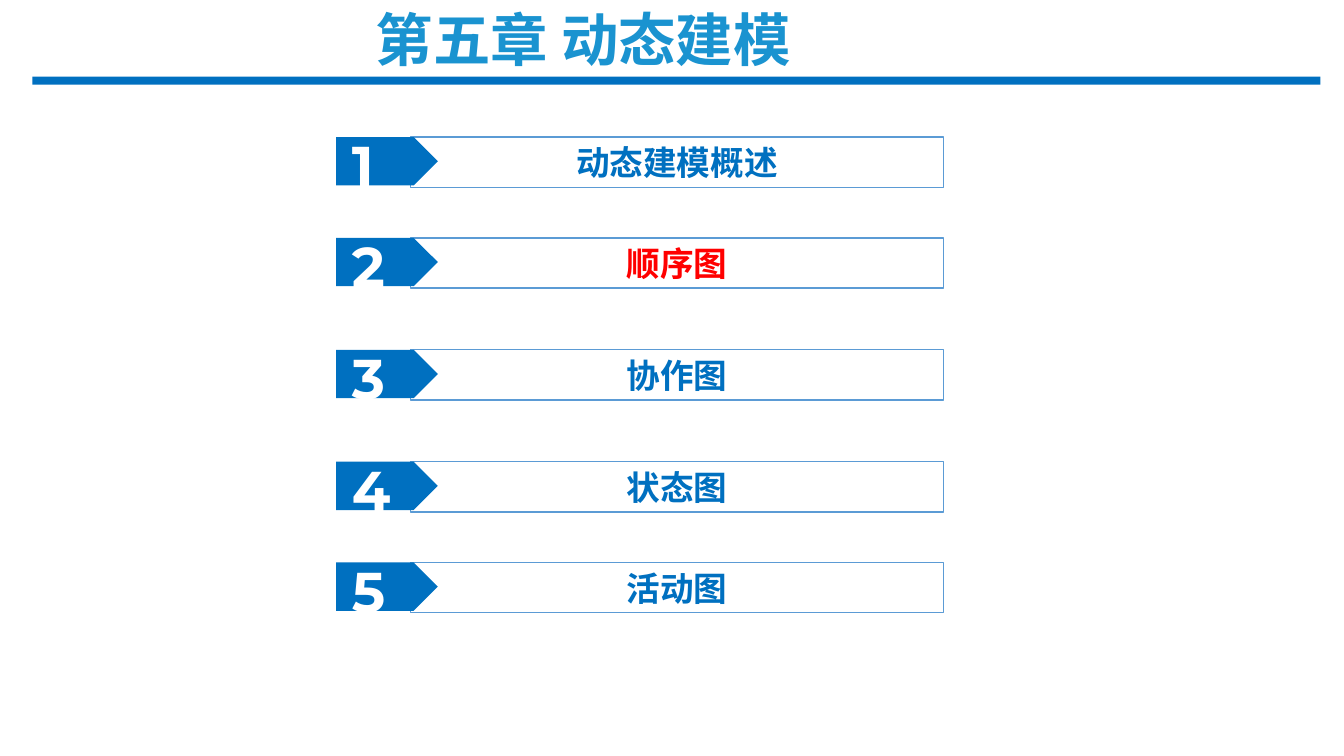
import dataclasses
import itertools

import lxml.etree
import pptx
import pptx.dml.color
import pptx.enum.shapes
import pptx.enum.text
import pptx.oxml.ns
import pptx.util

SHAPE = pptx.enum.shapes.MSO_SHAPE
ANCHOR = pptx.enum.text.MSO_ANCHOR
ALIGN = pptx.enum.text.PP_ALIGN
COLUMNS, ROWS = 40, 22.5
CELL = pptx.util.Inches(1) / 3


@dataclasses.dataclass(frozen=True)
class Theme:
    """Colours, fonts and type sizes of the deck."""
    blue: str = "0070C0"
    sky: str = "1A93D0"
    outline: str = "5B9BD5"
    red: str = "FF0000"
    white: str = "FFFFFF"
    chinese: str = "Noto Sans CJK SC"
    digits: str = "Montserrat"
    title_size: int = 41
    label_size: int = 24
    number_size: int = 40


THEME = Theme()
CHAPTER = "第五章 动态建模"
SECTIONS = ["动态建模概述", "顺序图", "协作图", "状态图", "活动图"]
CURRENT = "顺序图"
ROW_STEPS = [3, 3.33, 3.33, 3]


def rgb(value):
    """Turn a hex string into a colour."""
    return pptx.dml.color.RGBColor.from_string(value)


def cells(*box):
    """Convert grid cells to slide lengths."""
    return [pptx.util.Emu(round(length * CELL)) for length in box]


def write(frame, text, size, colour, font, align=ALIGN.LEFT, **frame_format):
    """Write one bold line into a text frame."""
    for name, value in frame_format.items():
        setattr(frame, name, value)
    line = frame.paragraphs[0]
    line.alignment = align
    run = line.add_run()
    run.text = text
    run.font.color.rgb = rgb(colour)
    for name, value in {"size": pptx.util.Pt(size), "bold": True, "name": font}.items():
        setattr(run.font, name, value)
    east_asian = lxml.etree.SubElement(run.font._element, pptx.oxml.ns.qn("a:ea"))
    east_asian.set("typeface", font)


def block(shapes, preset, box, fill, outline=None):
    """Draw a flat preset shape in the given box."""
    panel = shapes.add_shape(preset, *cells(*box))
    panel.shadow.inherit = False
    panel.fill.solid()
    panel.fill.fore_color.rgb = rgb(fill)
    if outline:
        panel.line.color.rgb = rgb(outline)
        panel.line.width = pptx.util.Pt(1)
    else:
        panel.line.fill.background()
    return panel


def heading(slide, box):
    """Place the chapter title with the rule beneath it."""
    left, top, width, height = box
    block(slide.shapes, SHAPE.RECTANGLE, (left, top + height - 0.24, width, 0.24), THEME.blue)
    title = slide.shapes.title
    place = cells(left + 9.99, top, 18.24, 2.31)
    for name, value in zip(("left", "top", "width", "height"), place):
        setattr(title, name, value)
    side, edge = pptx.util.Inches(0.08), pptx.util.Inches(0.04)
    write(title.text_frame, CHAPTER, THEME.title_size, THEME.sky, THEME.chinese,
          word_wrap=True, auto_size=pptx.enum.text.MSO_AUTO_SIZE.NONE,
          vertical_anchor=ANCHOR.MIDDLE, margin_left=side, margin_right=side,
          margin_top=edge, margin_bottom=edge)


def agenda_row(slide, box, number, section):
    """Place one section label with its numbered arrow."""
    left, top, width, height = box
    indent = 2.21
    label = block(slide.shapes, SHAPE.RECTANGLE, (left + indent, top, width - indent, height),
                  THEME.white, THEME.outline)
    colour = THEME.red if section == CURRENT else THEME.blue
    write(label.text_frame, section, THEME.label_size, colour, THEME.chinese,
          ALIGN.CENTER, word_wrap=True, vertical_anchor=ANCHOR.MIDDLE)
    badge = slide.shapes.add_group_shape().shapes
    block(badge, SHAPE.PENTAGON, (left, top, 3.03, 1.44), THEME.blue)
    digit = badge.add_textbox(*cells(left + 0.18, top - 0.33, 1.71, 2.31))
    write(digit.text_frame, str(number), THEME.number_size, THEME.white, THEME.digits,
          word_wrap=False, vertical_anchor=ANCHOR.TOP)


def agenda(slide, box):
    """Stack the section rows down the given box."""
    left, top, width, row_height = box
    tops = itertools.accumulate(ROW_STEPS, initial=top)
    for number, (row_top, section) in enumerate(zip(tops, SECTIONS), 1):
        agenda_row(slide, (left, row_top, width, row_height), number, section)


def main():
    """Build the chapter agenda slide."""
    deck = pptx.Presentation()
    deck.slide_width, deck.slide_height = cells(COLUMNS, ROWS)
    slide = deck.slides.add_slide(deck.slide_layouts[5])
    heading(slide, (0.96, 0, 38.34, 2.52))
    agenda(slide, (10, 4.08, 18.08, 1.5))
    deck.save("out.pptx")


if __name__ == "__main__":
    main()
